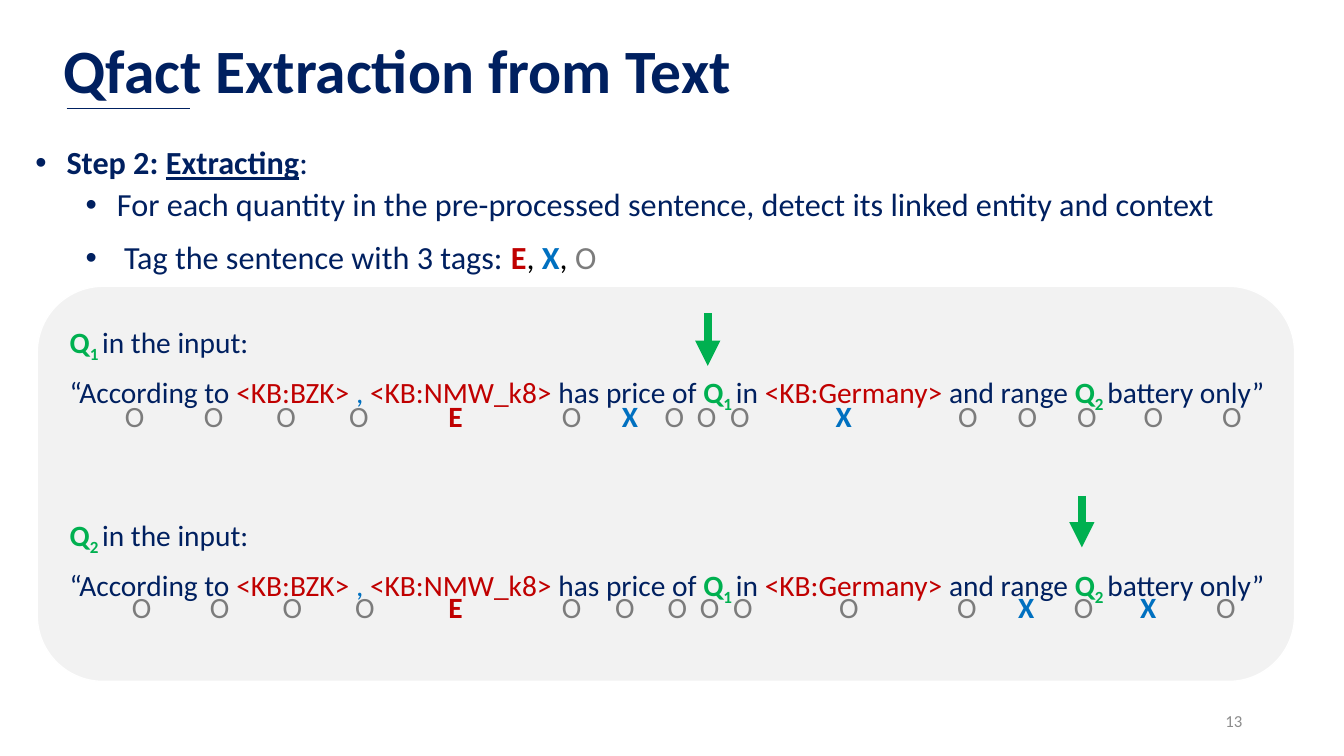
import dataclasses
import typing

import lxml.etree
import pptx
import pptx.dml.color
import pptx.enum.shapes
import pptx.enum.text
import pptx.oxml.ns
import pptx.util

Inches = pptx.util.Inches
Pt = pptx.util.Pt
qn = pptx.oxml.ns.qn

COLORS = {
    "navy": "002060", "red": "C00000", "blue": "0070C0", "green": "00B050",
    "gray": "7C7C7C", "black": "000000", "panel": "F2F2F2", "white": "FFFFFF",
    "number": "8C8C8C",
}
TAG_COLORS = {"E": "red", "X": "blue", "O": "gray"}


@dataclasses.dataclass(frozen=True)
class Span:
    text: str
    color: str = "navy"
    bold: bool = False
    underline: bool = False
    subscript: bool = False


@dataclasses.dataclass(frozen=True)
class Line:
    spans: list[Span]
    size: float
    before: float = 0
    bullet_indent: float = 0
    hanging: float = 0


@dataclasses.dataclass(frozen=True)
class TagRow:
    left: float
    top: float
    width: float
    height: float
    tags: str
    centers: list[float]


@dataclasses.dataclass(frozen=True)
class Stroke:
    start: tuple[float, float]
    end: tuple[float, float]
    color: str
    width: float
    arrow: bool = False


def rgb(name: str) -> pptx.dml.color.RGBColor:
    return pptx.dml.color.RGBColor.from_string(COLORS[name])


def place(shape: typing.Any, left: float, top: float, width: float, height: float) -> None:
    shape.left, shape.top = Inches(left), Inches(top)
    shape.width, shape.height = Inches(width), Inches(height)


def add_span(paragraph: typing.Any, span: Span, size: float) -> None:
    run = paragraph.add_run()
    run.text = span.text
    font = run.font
    font.name, font.size = "Calibri", Pt(size)
    font.bold, font.underline = span.bold, span.underline
    font.color.rgb = rgb(span.color)
    if span.subscript:
        run._r.get_or_add_rPr().set("baseline", "-25000")


def set_bullet(paragraph: typing.Any, line: Line) -> None:
    properties = paragraph._p.get_or_add_pPr()
    properties.set("marL", str(Inches(line.bullet_indent)))
    properties.set("indent", str(-Inches(line.hanging)))
    if line.hanging:
        font = lxml.etree.SubElement(properties, qn("a:buFont"))
        font.set("typeface", "Arial")
        lxml.etree.SubElement(properties, qn("a:buChar")).set("char", "•")
    else:
        lxml.etree.SubElement(properties, qn("a:buNone"))


def fill_frame(shape: typing.Any, lines: list[Line], anchor: typing.Any, top_margin: float = 0.05) -> None:
    frame = shape.text_frame
    frame.word_wrap = True
    frame.auto_size = pptx.enum.text.MSO_AUTO_SIZE.NONE
    frame.vertical_anchor = anchor
    frame.margin_top = Inches(top_margin)
    for index, line in enumerate(lines):
        paragraph = frame.paragraphs[0] if index == 0 else frame.add_paragraph()
        paragraph.alignment = pptx.enum.text.PP_ALIGN.LEFT
        paragraph.line_spacing = 0.9
        paragraph.space_before = Pt(line.before)
        set_bullet(paragraph, line)
        for span in line.spans:
            add_span(paragraph, span, line.size)


def add_tag_row(slide: typing.Any, row: TagRow) -> None:
    box = slide.shapes.add_textbox(*map(Inches, (row.left, row.top, row.width, row.height)))
    box.text_frame.word_wrap = True
    paragraph = box.text_frame.paragraphs[0]
    stops = lxml.etree.SubElement(paragraph._p.get_or_add_pPr(), qn("a:tabLst"))
    for center in row.centers:
        stop = lxml.etree.SubElement(stops, qn("a:tab"))
        stop.set("pos", str(Inches(center - row.left - 0.1)))
        stop.set("algn", "ctr")
    for index, tag in enumerate(row.tags):
        text = f"\t{tag}" if index else tag
        add_span(paragraph, Span(text, TAG_COLORS[tag], tag != "O"), 21)


def add_stroke(slide: typing.Any, stroke: Stroke) -> None:
    connector = slide.shapes.add_connector(
        pptx.enum.shapes.MSO_CONNECTOR.STRAIGHT, *map(Inches, stroke.start + stroke.end))
    connector.line.color.rgb = rgb(stroke.color)
    connector.line.width = Pt(stroke.width)
    if stroke.arrow:
        tail = lxml.etree.SubElement(connector.line._get_or_add_ln(), qn("a:tailEnd"))
        tail.set("type", "triangle")
    lxml.etree.SubElement(connector._element.spPr, qn("a:effectLst"))


def quantity(number: int) -> list[Span]:
    return [Span("Q", "green", True), Span(f"{number} ", "green", True, subscript=True)]


def example(number: int, before: float) -> list[Line]:
    sentence = [
        Span("“According to "), Span("<KB:BZK> ", "red"), Span(", ", "blue"),
        Span("<KB:NMW_k8> ", "red"), Span("has price of "), *quantity(1), Span("in "),
        Span("<KB:Germany> ", "red"), Span("and range "), *quantity(2), Span("battery only”"),
    ]
    return [Line([*quantity(number), Span("in the input:")], 21, before), Line(sentence, 21, 10)]


STEP = [
    Line([Span("Step 2: ", bold=True), Span("Extracting", bold=True, underline=True), Span(":")],
         23, 0, 0.31, 0.31),
    Line([Span("For each quantity in the pre-processed sentence, detect its linked entity and context")],
         23, 5, 0.81, 0.31),
]
TAGGING = [Line([
    Span("Tag the sentence with 3 tags: "), Span("E", "red", True), Span(", ", "black"),
    Span("X", "blue", True), Span(", ", "black"), Span("O", "gray"),
], 23, 0, 0.38, 0.38)]
TAG_ROWS = [
    TagRow(1.14, 3.9, 12.1, 0.45, "OOOOEOXOOOXOOOOO",
           [1.34, 2.12, 2.84, 3.56, 4.52, 5.67, 6.25, 6.69, 7.01, 7.34, 8.37, 9.6, 10.19, 10.78, 11.44, 12.22]),
    TagRow(1.21, 5.79, 12.08, 0.45, "OOOOEOOOOOOOXOXO",
           [1.4, 2.18, 2.9, 3.62, 4.52, 5.67, 6.2, 6.72, 7.04, 7.37, 8.42, 9.59, 10.18, 10.75, 11.39, 12.16]),
]
STROKES = [
    Stroke((7.02, 3.11), (7.02, 3.63), "green", 6, True),
    Stroke((10.73, 4.92), (10.73, 5.43), "green", 6, True),
    Stroke((0.66, 1.08), (1.88, 1.08), "navy", 0.75),
]


def main() -> None:
    presentation = pptx.Presentation()
    presentation.slide_width, presentation.slide_height = Inches(13.33), Inches(7.5)
    layout = presentation.slide_layouts.get_by_name("Comparison")
    slide = presentation.slides.add_slide(layout)
    title, step, examples, tagging, spare = slide.placeholders
    spare._element.getparent().remove(spare._element)

    panel = slide.shapes.add_shape(
        pptx.enum.shapes.MSO_SHAPE.ROUNDED_RECTANGLE, *map(Inches, (0.37, 2.84, 12.47, 3.92)))
    panel.shadow.inherit = False
    panel.fill.solid()
    panel.fill.fore_color.rgb = rgb("panel")
    panel.line.color.rgb = rgb("white")
    panel.line.width = Pt(1)
    slide.shapes._spTree.insert(2, panel._element)

    top = pptx.enum.text.MSO_ANCHOR.TOP
    middle = pptx.enum.text.MSO_ANCHOR.MIDDLE
    place(title, 0.53, 0, 11.5, 1.45)
    fill_frame(title, [Line([Span("Qfact Extraction from Text", bold=True)], 44)], middle)
    place(step, 0.25, 1.41, 12.54, 1.25)
    fill_frame(step, STEP, top)
    place(tagging, 0.75, 2.35, 6.05, 1.17)
    fill_frame(tagging, TAGGING, top)
    place(examples, 0.59, 2.67, 12.75, 5.28)
    fill_frame(examples, example(1, 0) + example(2, 76), top, 0.55)

    for row in TAG_ROWS:
        add_tag_row(slide, row)
    for stroke in STROKES:
        add_stroke(slide, stroke)

    number = slide.shapes.add_textbox(*map(Inches, (9.42, 6.95, 3, 0.4)))
    number.text_frame.vertical_anchor = middle
    number.text_frame.word_wrap = True
    paragraph = number.text_frame.paragraphs[0]
    paragraph.alignment = pptx.enum.text.PP_ALIGN.RIGHT
    add_span(paragraph, Span("13", "number"), 12)
    presentation.save("out.pptx")


if __name__ == "__main__":
    main()
